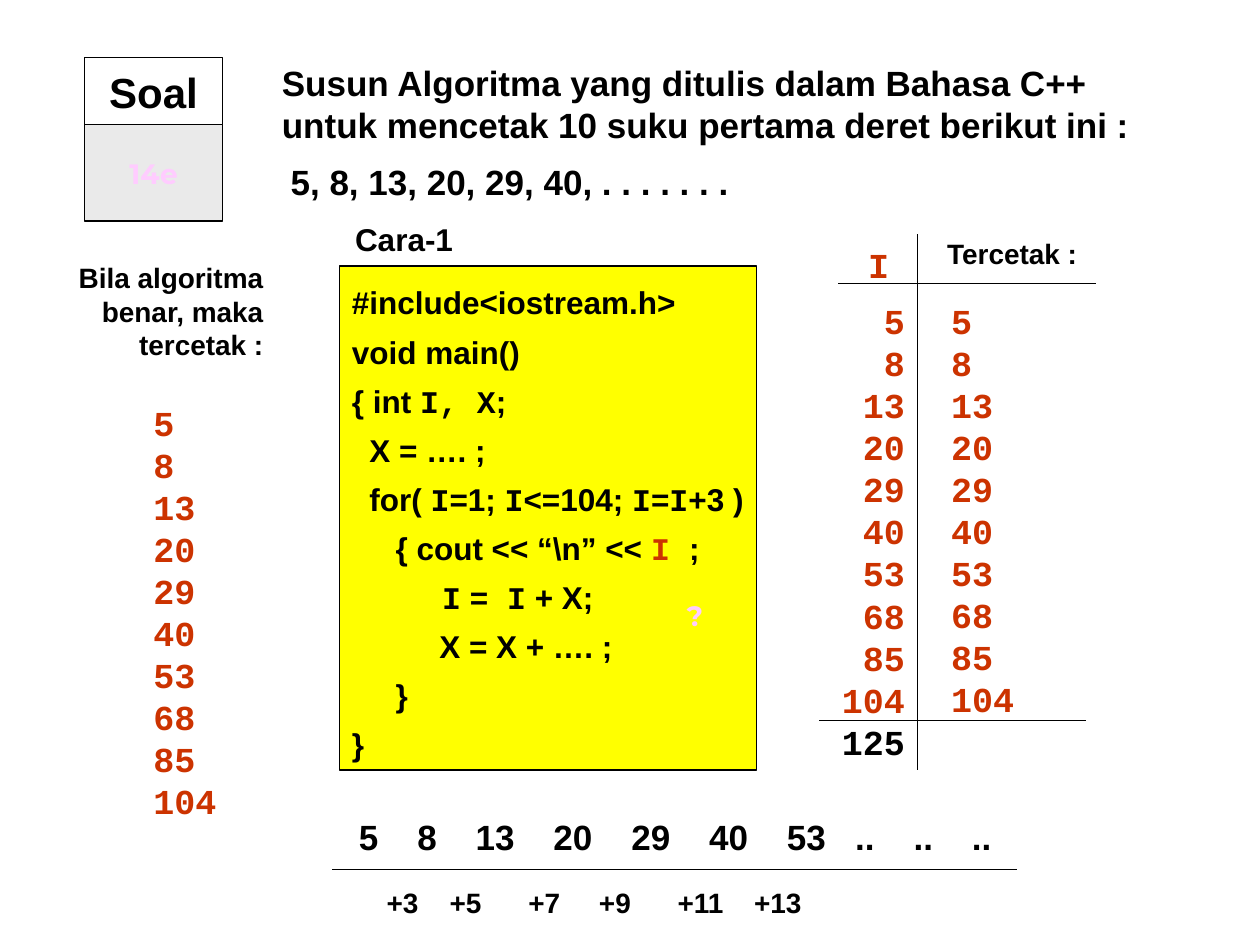
from lxml import etree
from pptx import Presentation
from pptx.dml.color import RGBColor
from pptx.enum.shapes import MSO_CONNECTOR, MSO_SHAPE
from pptx.enum.text import MSO_ANCHOR, PP_ALIGN
from pptx.oxml.ns import qn
from pptx.util import Pt

LEFT, CENTER, RIGHT = PP_ALIGN.LEFT, PP_ALIGN.CENTER, PP_ALIGN.RIGHT
TOP, MIDDLE = MSO_ANCHOR.TOP, MSO_ANCHOR.MIDDLE
RECTANGLE, STRAIGHT = MSO_SHAPE.RECTANGLE, MSO_CONNECTOR.STRAIGHT
SANS, MONO, DISPLAY = "Arial", "Courier New", "Montserrat"
BLACK, RED, PINK = "000000", "CC3300", "FFCCFF"
YELLOW, GRAY = "FFFF00", "EAEAEA"

TERMS = ["5", "8", "13", "20", "29", "40", "53", "68", "85", "104"]
CODE = [
    "#include<iostream.h>",
    "void main()",
    "{ int |I, X|;",
    "  X = …. ;",
    "  for( |I|=1; |I|<=104; |I|=|I|+3 )",
    "     { cout << “\\n” << |I |;",
    "      |  I| =| I| + X;",
    "          X = X + …. ;",
    "     }",
    "}",
]


def color(value):
    return RGBColor.from_string(value)


class SlideWriter:
    def __init__(self, slide):
        self.slide = slide

    def style(self, span, size, font, ink):
        span.font.size = Pt(size)
        span.font.name = font
        span.font.bold = True
        span.font.color.rgb = color(ink)

    def fill_text(self, box, text, size, font, ink, align, anchor, wrap):
        frame = box.text_frame
        frame.text = text
        frame.word_wrap = wrap
        frame.vertical_anchor = anchor
        for para in frame.paragraphs:
            para.alignment = align
            for span in para.runs:
                self.style(span, size, font, ink)

    def text(self, x, y, width, height, text, size=20, font=SANS, ink=BLACK,
             align=LEFT, wrap=False):
        box = self.slide.shapes.add_textbox(Pt(x), Pt(y), Pt(width), Pt(height))
        self.fill_text(box, text, size, font, ink, align, TOP, wrap)
        return box

    def panel(self, x, y, width, height, fill=None):
        box = self.slide.shapes.add_shape(RECTANGLE, Pt(x), Pt(y), Pt(width), Pt(height))
        box.shadow.inherit = False
        if fill:
            box.fill.solid()
            box.fill.fore_color.rgb = color(fill)
        else:
            box.fill.background()
        box.line.color.rgb = color(BLACK)
        box.line.width = Pt(0.75)
        return box

    def label(self, x, y, width, height, text, size, font, ink, fill=None):
        box = self.panel(x, y, width, height, fill)
        self.fill_text(box, text, size, font, ink, CENTER, MIDDLE, False)

    def code(self, x, y, width, height, lines):
        box = self.panel(x, y, width, height, YELLOW)
        frame = box.text_frame
        frame.word_wrap = False
        frame.vertical_anchor = TOP
        for index, line in enumerate(lines):
            para = frame.add_paragraph() if index else frame.paragraphs[0]
            para.alignment = LEFT
            para.line_spacing = 1.3
            for place, piece in enumerate(line.split("|")):
                span = para.add_run()
                span.text = piece
                ink = RED if piece == "I " else BLACK
                self.style(span, 18, MONO if place % 2 else SANS, ink)

    def column(self, x, y, items, align=LEFT):
        return self.text(x, y, 50.4, 7.2 + 22.7 * len(items), "\n".join(items),
                         font=MONO, ink=RED, align=align)

    def tabbed(self, x, y, width, height, items, stops, size):
        box = self.text(x, y, width, height, "\t".join(items), size, wrap=True)
        properties = box.text_frame.paragraphs[0]._p.get_or_add_pPr()
        tabs = etree.SubElement(properties, qn("a:tabLst"))
        for stop in stops:
            etree.SubElement(tabs, qn("a:tab"), pos=str(Pt(stop)), algn="l")

    def line(self, x1, y1, x2, y2):
        rule = self.slide.shapes.add_connector(STRAIGHT, Pt(x1), Pt(y1), Pt(x2), Pt(y2))
        rule.line.color.rgb = color(BLACK)
        rule.line.width = Pt(0.75)
        etree.SubElement(rule._element.spPr, qn("a:effectLst"))


def main():
    deck = Presentation()
    deck.slide_width, deck.slide_height = Pt(720), Pt(540)
    page = SlideWriter(deck.slides.add_slide(deck.slide_layouts[6]))

    page.label(48.2, 33, 79.2, 38.3, "Soal", 24, SANS, BLACK)
    page.label(48.2, 71.3, 79.2, 55, "14e", 16, DISPLAY, PINK, GRAY)
    page.text(154, 31.8, 512, 55.4,
              "Susun Algoritma yang ditulis dalam Bahasa C++ "
              "untuk mencetak 10 suku pertama deret berikut ini :", wrap=True)
    page.text(159, 88, 270.7, 31.7, "5, 8, 13, 20, 29, 40, . . . . . . .")

    page.text(8.6, 145.4, 149, 64.8, "Bila algoritma benar, maka tercetak :",
              16, align=RIGHT, wrap=True)
    page.column(80.6, 226, TERMS)

    page.text(195.8, 122.4, 70.6, 28.8, "Cara-1", 18)
    page.code(194, 152, 238.3, 288, CODE)
    page.text(377.3, 338.4, 39.6, 67.7, "?", 16, DISPLAY, PINK, CENTER)

    page.line(479, 162, 626.4, 162)
    page.line(524.3, 134, 524.3, 440)
    page.line(468, 411.8, 620.6, 411.8)
    page.text(489, 135.4, 26, 31.7, "I", font=MONO, ink=RED)
    page.text(534.2, 131.8, 89.3, 26.6, "Tercetak :", 16)
    trace = page.column(473.8, 167.8, TERMS + ["125"], RIGHT)
    trace.text_frame.paragraphs[-1].runs[0].font.color.rgb = color(BLACK)
    page.column(536.4, 167.8, TERMS)

    page.tabbed(198, 462.2, 393, 31.7, TERMS[:7] + [".."] * 3,
                [33.4, 66.7, 111.2, 155.7, 200.2, 244.6, 283.6, 317, 350.3], 20)
    page.line(190, 496.8, 581, 496.8)
    page.tabbed(213.8, 502.6, 361.4, 26.6, [f"+{step}" for step in range(3, 14, 2)],
                [36, 81, 121.4, 166.4, 210.1], 16)

    deck.save("out.pptx")


if __name__ == "__main__":
    main()
